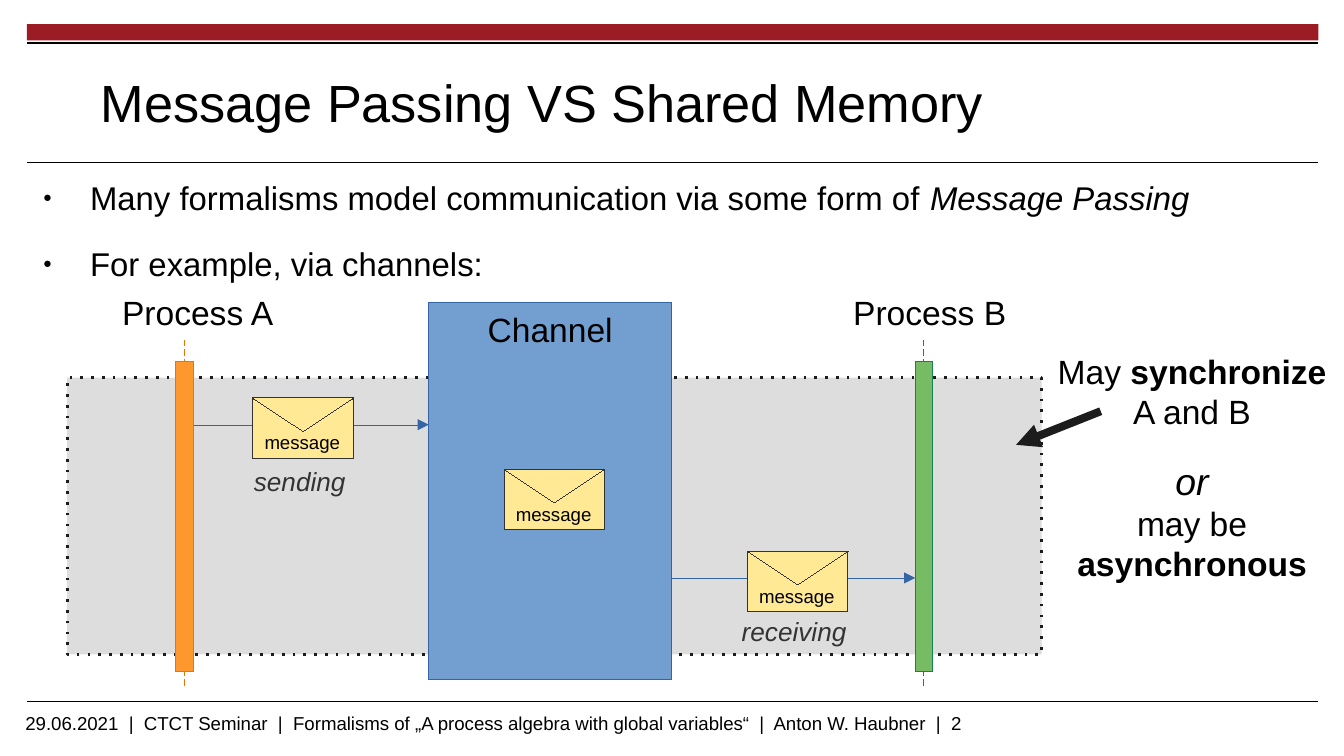
from dataclasses import dataclass

from lxml.etree import SubElement
from pptx import Presentation
from pptx.dml.color import RGBColor
from pptx.enum.dml import MSO_LINE
from pptx.enum.shapes import MSO_CONNECTOR, MSO_SHAPE
from pptx.enum.text import MSO_ANCHOR, MSO_AUTO_SIZE, PP_ALIGN
from pptx.oxml.ns import qn
from pptx.util import Inches, Pt


@dataclass(frozen=True)
class Theme:
    font: str = "Arial"
    ink: str = "000000"
    soft: str = "333333"
    dark: str = "1C1C1C"
    band: str = "9C1C26"
    zone: str = "DDDDDD"
    blue: str = "729FCF"
    navy: str = "3465A4"
    orange: str = "FF972F"
    rust: str = "EA7500"
    green: str = "77BC65"
    pine: str = "168253"
    paper: str = "FFE994"
    title: float = 28
    large: float = 20
    label: float = 18
    body: float = 17.6
    note: float = 14
    small: float = 10


@dataclass(frozen=True)
class Box:
    x: float
    y: float
    w: float
    h: float

    def sub(self, x, y, w, h):
        """Return a box placed relative to this one."""
        return Box(self.x + x, self.y + y, w, h)

    def emu(self):
        return [Inches(v) for v in (self.x, self.y, self.w, self.h)]


T = Theme()


def rgb(code):
    return RGBColor.from_string(code)


def write(para, text, size, color=T.ink, bold=False, italic=False):
    run = para.add_run()
    run.text = text
    font = run.font
    font.name, font.size = T.font, Pt(size)
    font.bold, font.italic = bold, italic
    font.color.rgb = rgb(color)


def frame(shapes, box, wrap=False):
    """Add a text box and return its text frame."""
    text = shapes.add_textbox(*box.emu()).text_frame
    text.word_wrap = wrap
    if not wrap:
        text.auto_size = MSO_AUTO_SIZE.SHAPE_TO_FIT_TEXT
    return text


def label(shapes, box, text, size, color=T.ink, italic=False, wrap=False):
    para = frame(shapes, box, wrap).paragraphs[0]
    write(para, text, size, color, italic=italic)


def outline(shape, color, width):
    """Style a line and return its element; width 0 is a hairline."""
    shape.line.color.rgb = rgb(color)
    line = shape.element.spPr.find(qn("a:ln"))
    line.set("w", str(Pt(width)))
    return line


def block(shapes, box, fill, edge=None, width=0, kind=MSO_SHAPE.RECTANGLE):
    shape = shapes.add_shape(kind, *box.emu())
    shape.shadow.inherit = False
    shape.fill.solid()
    shape.fill.fore_color.rgb = rgb(fill)
    if edge:
        outline(shape, edge, width)
    else:
        shape.line.fill.background()
    return shape


def stroke(shapes, start, end, color, width=0, head=False, dash=None):
    ends = [Inches(v) for v in (*start, *end)]
    shape = shapes.add_connector(MSO_CONNECTOR.STRAIGHT, *ends)
    line = outline(shape, color, width)
    if dash:
        shape.line.dash_style = dash
    if head:
        SubElement(line, qn("a:tailEnd"), type="triangle")
    SubElement(shape.element.spPr, qn("a:effectLst"))


def master(shapes, box):
    """Draw the top band, the rules and the footer."""
    block(shapes, box.sub(0, 0, box.w, 0.12), T.band)
    for drop, width in ((0.14, 1.19), (1.03, 0.6), (5.04, 0.6)):
        y = box.y + drop
        stroke(shapes, (box.x, y), (box.x + box.w, y), T.ink, width)
    label(shapes, box.sub(-0.11, 5.07, 7.95, 0.19),
          "29.06.2021  |  CTCT Seminar  |  Formalisms of „A process algebra "
          "with global variables“  |  Anton W. Haubner  |  2",
          T.small, wrap=True)


def place(holder, box, anchor):
    """Move a placeholder and return its text frame without insets."""
    holder.left, holder.top, holder.width, holder.height = box.emu()
    text = holder.text_frame
    text.margin_left = text.margin_right = 0
    text.margin_top = text.margin_bottom = 0
    text.word_wrap = True
    text.auto_size = MSO_AUTO_SIZE.NONE
    text.vertical_anchor = anchor
    return text


def heading(holder, box):
    para = place(holder, box, MSO_ANCHOR.MIDDLE).paragraphs[0]
    para.alignment = PP_ALIGN.CENTER
    write(para, "Message Passing VS Shared Memory", T.title)


def bullets(holder, box):
    text = place(holder, box, MSO_ANCHOR.TOP)
    first, second = text.paragraphs[0], text.add_paragraph()
    for para, gap in ((first, 0), (second, 14.2)):
        para.space_before = Pt(gap)
        props = para._p.get_or_add_pPr()
        props.set("marL", str(Inches(0.47)))
        props.set("indent", str(Inches(-0.35)))
        color = SubElement(props, qn("a:buClr"))
        SubElement(color, qn("a:srgbClr"), val=T.ink)
        SubElement(props, qn("a:buSzPct"), val="45000")
        SubElement(props, qn("a:buChar"), char="●")
    write(first, "Many formalisms model communication via some form of ", T.body)
    write(first, "Message Passing", T.body, italic=True)
    write(second, "For example, via channels:", T.body)


def zone(shapes, box):
    """Draw the dotted area that holds the exchange."""
    shape = block(shapes, box, T.zone, T.dark, 1.45)
    shape.line.dash_style = MSO_LINE.ROUND_DOT
    line = shape.element.spPr.find(qn("a:ln"))
    line.find(qn("a:prstDash")).set("val", "dot")


def process(shapes, box, name, shift, fill, edge):
    """Draw a named lifeline with its activity bar."""
    label(shapes, box.sub(shift, 0, 1.34, 0.38), name, T.label)
    mid = box.x + box.w / 2
    stroke(shapes, (mid, box.y + 0.41), (mid, box.y + box.h), edge,
           dash=MSO_LINE.DASH)
    block(shapes, box.sub(0, 0.57, box.w, 2.31), fill, edge)


def channel(shapes, box):
    block(shapes, box, T.blue, T.navy)
    label(shapes, box.sub(0.34, 0, 1.13, 0.38), "Channel", T.label)


def letter(shapes, box):
    """Draw one message as an envelope."""
    group = shapes.add_group_shape().shapes
    block(group, box, T.paper, T.soft)
    flap = block(group, box.sub(0, -0.01, box.w, 0.25), T.paper, T.soft,
                 kind=MSO_SHAPE.ISOSCELES_TRIANGLE)
    flap.rotation = 180
    label(shapes, box.sub(-0.01, 0.19, 0.76, 0.25), "message", T.small)


def remark(shapes, box):
    """Write the note on synchrony and point it at the zone."""
    stroke(shapes, (box.x + 0.42, box.y + 0.5), (box.x - 0.21, box.y + 0.75),
           T.dark, 4.31, head=True)
    text = frame(shapes, box)
    top, low = text.paragraphs[0], text.add_paragraph()
    top.alignment = low.alignment = PP_ALIGN.CENTER
    top.space_after = low.space_before = Pt(7.2)
    write(top, "May ", T.label)
    write(top, "synchronize", T.label, bold=True)
    top.add_line_break()
    write(top, "A and B", T.label)
    write(low, "or", T.large, italic=True)
    low.add_line_break()
    write(low, "may be", T.label)
    low.add_line_break()
    write(low, "asynchronous", T.label, bold=True)


def diagram(shapes, box):
    zone(shapes, box.sub(0, 0.69, 7.25, 2.06))
    channel(shapes, box.sub(2.69, 0.13, 1.81, 2.81))
    process(shapes, box.sub(0.81, 0, 0.13, 3), "Process A", -0.5, T.orange, T.rust)
    process(shapes, box.sub(6.31, 0, 0.13, 3), "Process B", -0.56, T.green, T.pine)
    for left, right, drop in ((0.94, 2.69, 1.04), (4.5, 6.31, 2.18)):
        y = box.y + drop
        stroke(shapes, (box.x + left, y), (box.x + right, y), T.navy, head=True)
    for x, y in ((1.38, 0.85), (3.25, 1.38), (5.06, 1.99)):
        letter(shapes, box.sub(x, y, 0.75, 0.44))
    for x, y, w, text in ((1.29, 1.29, 0.88, "sending"),
                          (4.92, 2.41, 0.98, "receiving")):
        label(shapes, box.sub(x, y, w, 0.32), text, T.note, T.soft, True)
    remark(shapes, box.sub(7.27, 0.44, 2.2, 1.63))


def main():
    deck = Presentation()
    deck.slide_width, deck.slide_height = Inches(10), Inches(10 * 9 / 16)
    slide = deck.slides.add_slide(deck.slide_layouts[1])
    shapes = slide.shapes
    master(shapes, Box(0.2, 0.18, 9.61, 5.34))
    heading(shapes.title, Box(0.3, 0.41, 7.46, 0.69))
    bullets(slide.placeholders[1], Box(0.2, 1.32, 9.61, 0.81))
    diagram(shapes, Box(0.5, 2.12, 9.47, 3))
    deck.save("out.pptx")


if __name__ == "__main__":
    main()
